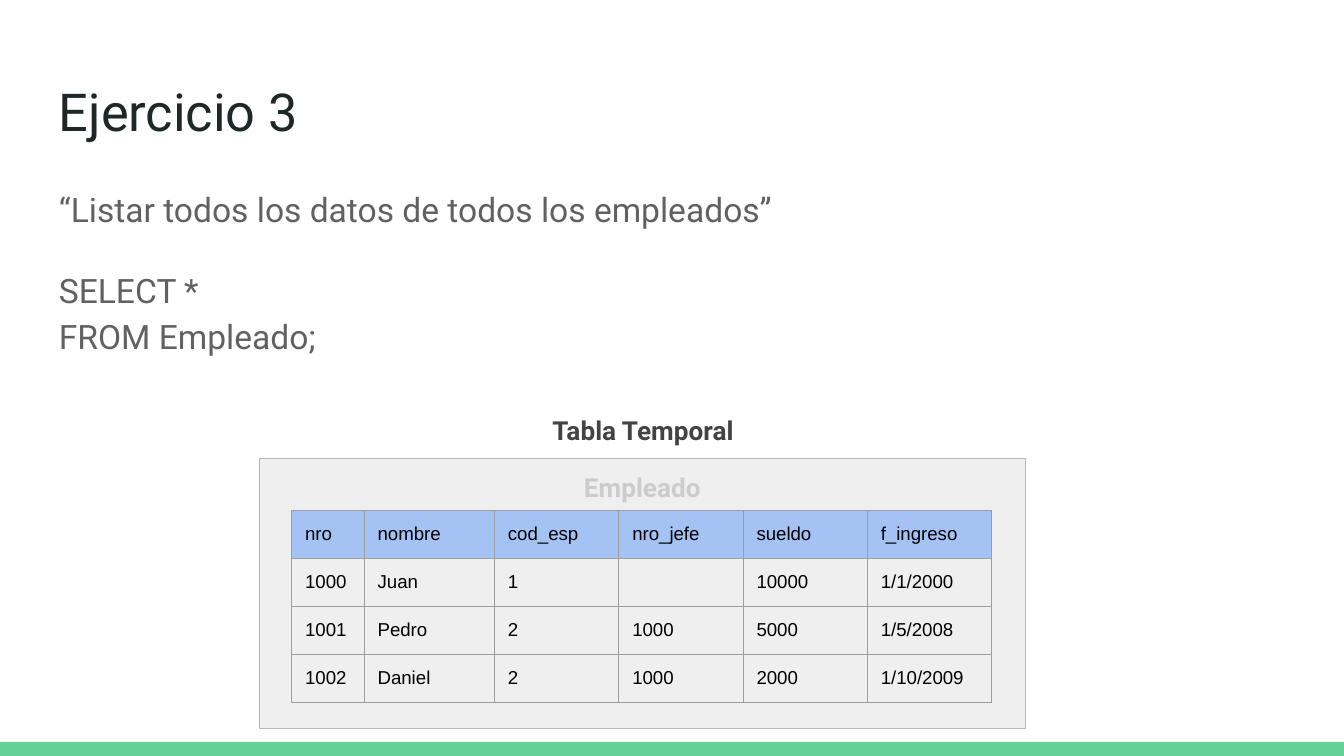
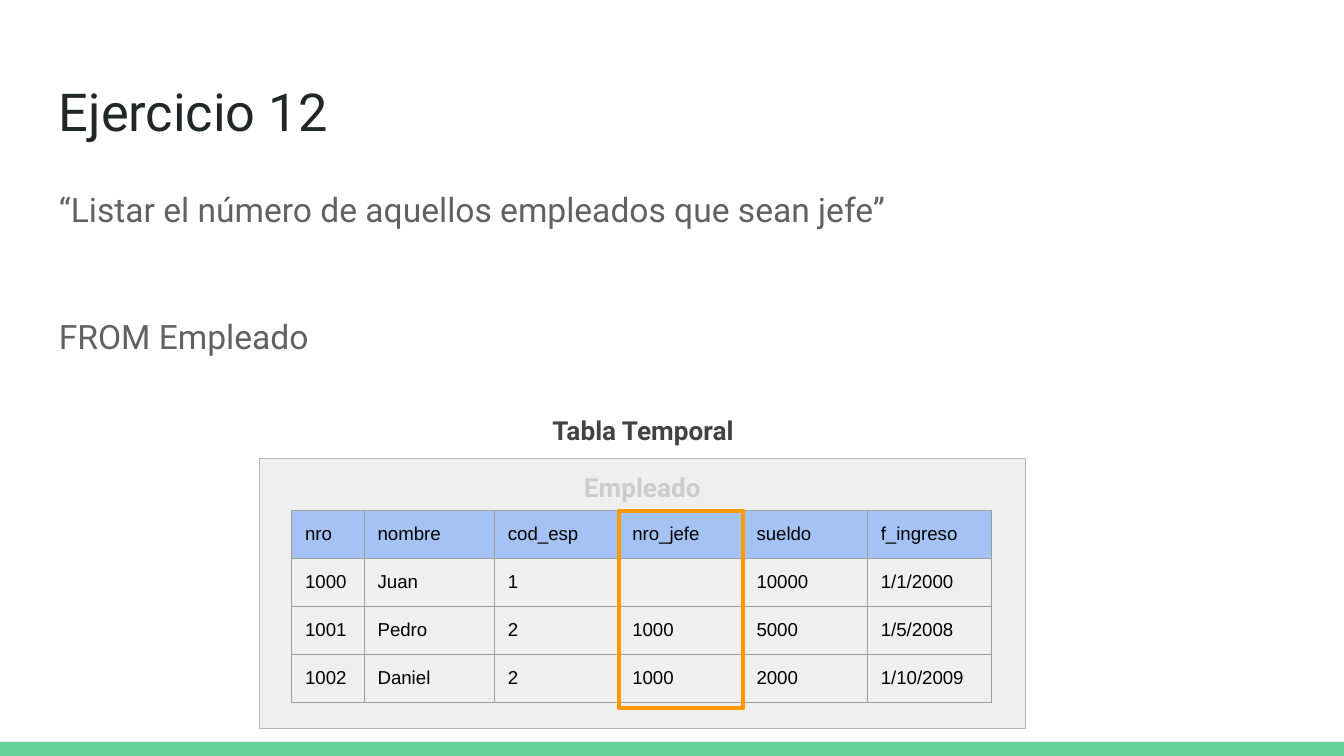
from dataclasses import dataclass

from lxml.etree import SubElement
from pptx import Presentation
from pptx.dml.color import RGBColor
from pptx.enum.shapes import MSO_SHAPE
from pptx.enum.text import MSO_ANCHOR, PP_ALIGN
from pptx.oxml.ns import qn
from pptx.util import Inches, Pt


@dataclass(frozen=True)
class Theme:
    heading_font: str = "Roboto"
    table_font: str = "Arial"
    title_size: int = 28
    body_size: int = 18
    label_size: int = 14
    cell_size: int = 10
    title: str = "202729"
    body: str = "616161"
    label: str = "434343"
    faded_label: str = "CCCCCC"
    cell_text: str = "000000"
    band: str = "63D297"
    panel: str = "EFEFEF"
    panel_line: str = "B7B7B7"
    header: str = "A4C2F4"
    grid: str = "9E9E9E"
    highlight: str = "FF9900"


theme = Theme()


def write(frame, text, size, color, font=theme.heading_font, bold=False,
          align=PP_ALIGN.LEFT, spacing=1.0, anchor=MSO_ANCHOR.TOP):
    """Fill a text frame with one styled paragraph; \\v breaks a line."""
    frame.word_wrap = True
    frame.vertical_anchor = anchor
    frame.margin_left = frame.margin_right = Inches(0.1)
    frame.margin_top = frame.margin_bottom = Inches(0.1)
    frame.text = text
    para = frame.paragraphs[0]
    para.alignment = align
    para.line_spacing = spacing
    para.font.name = font
    para.font.size = Pt(size)
    para.font.bold = bold
    para.font.color.rgb = RGBColor.from_string(color)


def add_box(page, left, top, width, height, fill=None, line=None, weight=0.75):
    """Add a rectangle; a missing fill or line colour leaves that part off."""
    box = page.shapes.add_shape(MSO_SHAPE.RECTANGLE, Inches(left), Inches(top),
                                Inches(width), Inches(height))
    box.shadow.inherit = False
    if fill:
        box.fill.solid()
        box.fill.fore_color.rgb = RGBColor.from_string(fill)
    else:
        box.fill.background()
    if line:
        box.line.color.rgb = RGBColor.from_string(line)
        box.line.width = Pt(weight)
    else:
        box.line.fill.background()
    return box


employees = [
    ["nro", "nombre", "cod_esp", "nro_jefe", "sueldo", "f_ingreso"],
    ["1000", "Juan", "1", "", "10000", "1/1/2000"],
    ["1001", "Pedro", "2", "1000", "5000", "1/5/2008"],
    ["1002", "Daniel", "2", "1000", "2000", "1/10/2009"],
]
table_left, table_top, table_width, table_height = 2.17, 3.8, 5.21, 1.47
row_height = 0.33
column_widths = [0.54, 0.97]
column_widths += [(table_width - sum(column_widths)) / 4] * 4

# title, request, query, highlighted column
exercises = [
    ("Ejercicio 3", "“Listar todos los datos de todos los empleados”",
     "SELECT *\vFROM Empleado;", None),
    ("Ejercicio 12", "“Listar el número de aquellos empleados que sean jefe”",
     "FROM Empleado", "nro_jefe"),
]

deck = Presentation()
deck.slide_width = Inches(10)
deck.slide_height = deck.slide_width * 9 // 16

for title, request, query, highlighted in exercises:
    page = deck.slides.add_slide(deck.slide_layouts[6])
    add_box(page, 0, 5.52, 10, 0.11, fill=theme.band)

    panel = add_box(page, 1.93, 3.41, 5.7, 2.01, theme.panel, theme.panel_line)
    write(panel.text_frame, "Empleado", theme.label_size, theme.faded_label,
          bold=True, align=PP_ALIGN.CENTER)

    body_style = dict(size=theme.body_size, color=theme.body, spacing=1.15)
    texts = [
        (0.34, 0.49, 9.32, 0.63, title,
         dict(size=theme.title_size, color=theme.title)),
        (0.34, 1.26, 9.32, 0.55, request, body_style),
        (0.34, 1.86, 9.32, 0.89, query,
         dict(body_style, anchor=MSO_ANCHOR.BOTTOM)),
        (3.8, 2.95, 1.97, 0.42, "Tabla Temporal",
         dict(size=theme.label_size, color=theme.label, bold=True,
              align=PP_ALIGN.CENTER, spacing=1.15)),
    ]
    for left, top, width, height, text, style in texts:
        box = page.shapes.add_textbox(Inches(left), Inches(top),
                                      Inches(width), Inches(height))
        write(box.text_frame, text, **style)

    table = page.shapes.add_table(
        len(employees), len(column_widths), Inches(table_left), Inches(table_top),
        Inches(table_width), Inches(row_height * len(employees))).table
    table.first_row = table.horz_banding = False
    for column, width in zip(table.columns, column_widths):
        column.width = Inches(width)
    for row_number, values in enumerate(employees):
        table.rows[row_number].height = Inches(row_height)
        for column_number, value in enumerate(values):
            cell = table.cell(row_number, column_number)
            cell.margin_left = cell.margin_right = cell.margin_top = Inches(0.1)
            cell.margin_bottom = Inches(0.09)
            para = cell.text_frame.paragraphs[0]
            para.text = value
            para.font.name = theme.table_font
            para.font.size = Pt(theme.cell_size)
            para.font.color.rgb = RGBColor.from_string(theme.cell_text)
            if not value:
                SubElement(para._p, qn("a:endParaRPr"),
                           sz=str(theme.cell_size * 100))
            properties = cell._tc.get_or_add_tcPr()
            for side in ("a:lnL", "a:lnR", "a:lnT", "a:lnB"):
                border = SubElement(properties, qn(side), w=str(Pt(0.75)))
                fill = SubElement(border, qn("a:solidFill"))
                SubElement(fill, qn("a:srgbClr"), val=theme.grid)
            if row_number == 0:
                cell.fill.solid()
                cell.fill.fore_color.rgb = RGBColor.from_string(theme.header)
            else:
                cell.fill.background()

    if highlighted:
        position = employees[0].index(highlighted)
        add_box(page, table_left + sum(column_widths[:position]), table_top,
                column_widths[position], table_height,
                line=theme.highlight, weight=2.25)

deck.save("out.pptx")
